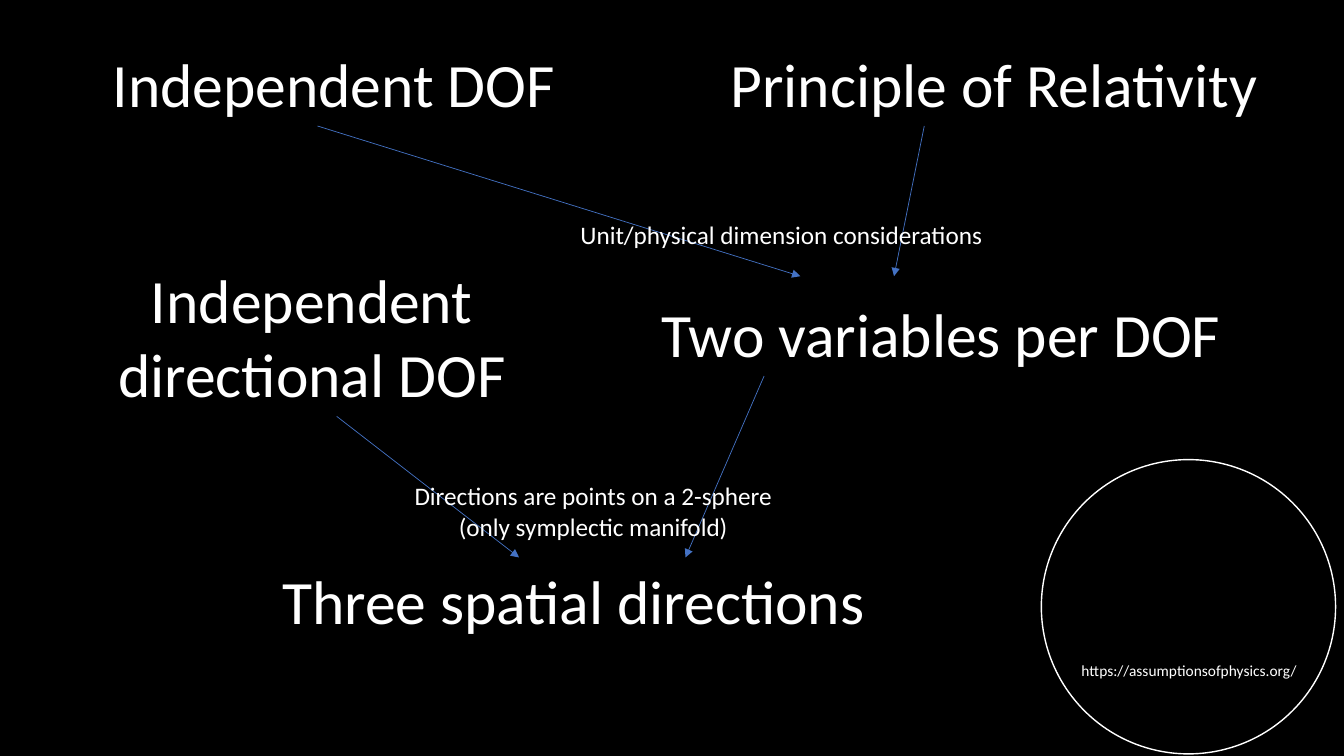
from lxml import etree
from pptx import Presentation
from pptx.dml.color import RGBColor
from pptx.enum.shapes import MSO_CONNECTOR, MSO_SHAPE
from pptx.enum.text import MSO_AUTO_SIZE, PP_ALIGN
from pptx.oxml.ns import qn
from pptx.util import Pt

STRAIGHT = MSO_CONNECTOR.STRAIGHT
ELLIPSE = MSO_SHAPE.OVAL
LEFT, CENTER = PP_ALIGN.LEFT, PP_ALIGN.CENTER
GROW = MSO_AUTO_SIZE.SHAPE_TO_FIT_TEXT

COLORS = {"background": "000000", "text": "FFFFFF", "arrow": "4472C4"}
FONT = "Calibri"
STATEMENT, REASON, ADDRESS = 44, 18, 11  # text sizes


def color(name):
    return RGBColor.from_string(COLORS[name])


def add_text(slide, box, paragraphs, *, size=STATEMENT, align=LEFT):
    """Each paragraph is a string; a newline in it is a line break."""
    frame = slide.shapes.add_textbox(*map(Pt, box)).text_frame
    frame.word_wrap = False
    frame.auto_size = GROW
    for index, words in enumerate(paragraphs):
        paragraph = frame.add_paragraph() if index else frame.paragraphs[0]
        paragraph.text = words
        paragraph.alignment = align
        for run in paragraph.runs:
            run.font.name = FONT
            run.font.size = Pt(size)
            run.font.color.rgb = color("text")


def add_arrow(slide, start, end):
    arrow = slide.shapes.add_connector(STRAIGHT, *map(Pt, start + end))
    arrow.line.color.rgb = color("arrow")
    arrow.line.width = Pt(0.5)
    etree.SubElement(arrow.line._get_or_add_ln(), qn("a:tailEnd"), type="triangle")
    etree.SubElement(arrow._element.spPr, qn("a:effectLst"))


def draw_inference(slide, box, texts, arrows):
    """Premises, reason and conclusion, with arrows, offset from the box corner."""
    left, top, _, _ = box

    for start, end in arrows:
        add_arrow(slide, *((left + x, top + y) for x, y in (start, end)))
    for (x, y, width, height), paragraphs, style in texts:
        add_text(slide, (left + x, top + y, width, height), paragraphs, **style)


def draw_badge(slide, box):
    left, top, width, _ = box
    circle = slide.shapes.add_shape(ELLIPSE, *map(Pt, box))
    circle.shadow.inherit = False
    circle.fill.background()
    circle.line.color.rgb = color("text")
    circle.line.width = Pt(1)
    add_text(slide, (left + 21.6, top + 140.4, width - 41, 20.9),
             ["https://assumptionsofphysics.org/"], size=ADDRESS)


def main():
    prs = Presentation()
    prs.slide_width, prs.slide_height = Pt(960), Pt(540)
    slide = prs.slides.add_slide(prs.slide_layouts[6])
    slide.background.fill.solid()
    slide.background.fill.fore_color.rgb = color("background")

    # Web address in a circle, bottom right
    draw_badge(slide, (743.8, 328.3, 210.2, 210.2))

    # Upper step: two premises give two variables per DOF
    draw_inference(
        slide, (73.4, 29.5, 836.7, 239.1),
        texts=[
            ((0, 0, 334.1, 60.5), ["Independent DOF"], {}),
            ((441.4, 0, 395.3, 60.5), ["Principle of Relativity"], {}),
            ((391.7, 178.6, 418.3, 60.5), ["Two variables per DOF"], {}),
            ((334.1, 123.9, 304.6, 28.8),
             ["Unit/physical dimension considerations"], {"size": REASON}),
        ],
        arrows=[((153.4, 60.5), (498.3, 167.8)), ((586.8, 60.5), (565.2, 167.8))],
    )

    # Lower step: adding directional DOF gives three directions
    draw_inference(
        slide, (75.6, 183.6, 555.1, 275.1),
        texts=[
            ((0, 0, 294.5, 113.8), ["Independent\ndirectional DOF"], {"align": CENTER}),
            ((118.8, 214.6, 436.3, 60.5), ["Three spatial directions"], {}),
            ((211.7, 156.2, 272.9, 51.1),
             ["Directions are points on a 2-sphere", "(only symplectic manifold)"],
             {"size": REASON, "align": CENTER}),
        ],
        arrows=[((164.9, 113.8), (295.2, 214.6)), ((470.2, 85), (414, 214.6))],
    )

    prs.save("out.pptx")


if __name__ == "__main__":
    main()
